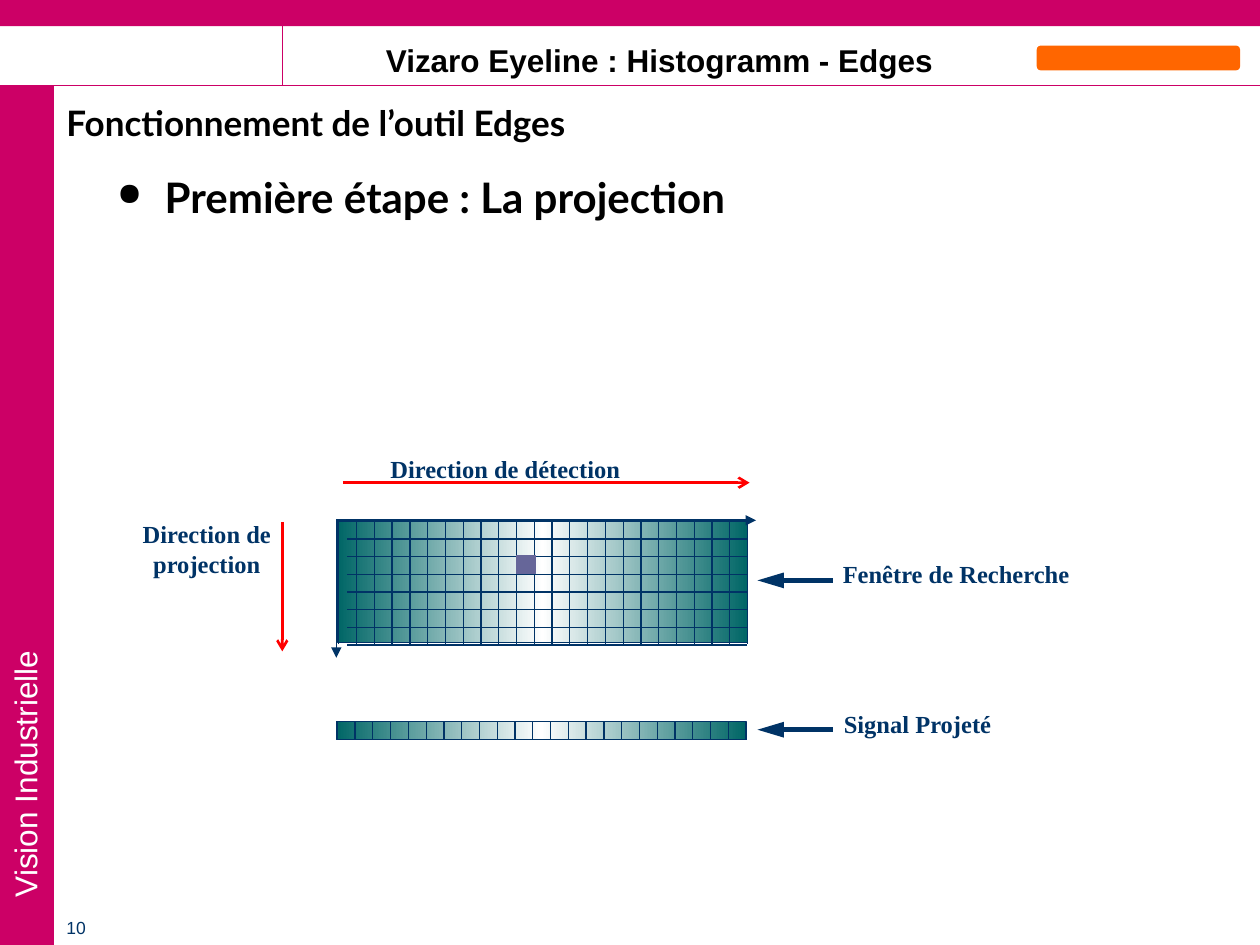
from copy import deepcopy

from lxml.etree import SubElement
from pptx import Presentation
from pptx.dml.color import RGBColor
from pptx.enum.shapes import MSO_CONNECTOR as Connector, MSO_SHAPE as Shape
from pptx.enum.text import MSO_ANCHOR as Anchor, PP_ALIGN as Align
from pptx.oxml.ns import qn
from pptx.util import Cm, Pt

COLORS = {
    "magenta": "CC0066",
    "navy": "003366",
    "teal": "006666",
    "white": "FFFFFF",
    "black": "000000",
    "red": "FF0000",
    "violet": "666699",
    "orange": "FF6600",
}
RGB = {name: RGBColor.from_string(value) for name, value in COLORS.items()}

presentation = Presentation()
presentation.slide_width, presentation.slide_height = Cm(25.4), Cm(19.05)
slide = presentation.slides.add_slide(presentation.slide_layouts[6])
shapes = slide.shapes


def add_line(start, end, color="navy", width=0.75, head=None, head_length="med"):
    """Draw a straight line between two points in cm, with an optional head at its end."""
    line = shapes.add_connector(Connector.STRAIGHT, *map(Cm, start + end))
    line.line.color.rgb = RGB[color]
    line.line.width = Pt(width)
    properties = line._element.spPr
    if head:
        SubElement(properties.find(qn("a:ln")), qn("a:tailEnd"),
                   type=head, w="med", len=head_length)
    SubElement(properties, qn("a:effectLst"))


def add_text(text, box, size, font, color, bold=True, align=Align.LEFT):
    shape = shapes.add_textbox(*map(Cm, box))
    frame = shape.text_frame
    frame.word_wrap = True
    frame.text = text
    paragraph = frame.paragraphs[0]
    paragraph.alignment = align
    run_font = paragraph.runs[0].font
    run_font.name, run_font.size, run_font.bold = font, Pt(size), bold
    run_font.color.rgb = RGB[color]
    return shape


# Page frame: side band, top band, emblem placeholder and marked cell of the grid
for kind, box, color in [
    (Shape.RECTANGLE, (0, 1.73, 1.09, 17.32), "magenta"),
    (Shape.RECTANGLE, (0, 0, 25.4, 0.53), "magenta"),
    (Shape.ROUNDED_RECTANGLE, (20.9, 0.92, 4.1, 0.5), "orange"),
]:
    block = shapes.add_shape(kind, *map(Cm, box))
    block.shadow.inherit = False
    block.fill.solid()
    block.fill.fore_color.rgb = RGB[color]
    block.line.fill.background()
add_line((0, 1.73), (25.4, 1.73), "magenta")
add_line((5.69, 1.73), (5.69, 0), "magenta")

course = add_text("Vision Industrielle", (-4.7, 12.62, 10.41, 1.02), 18, "Arial", "white", False)
course.rotation = 270
add_text("10", (1.09, 18.36, 1.3, 0.69), 10, "Arial", "navy", False)
add_text("Vizaro Eyeline : Histogramm - Edges", (5.89, 0.71, 14.81, 1.02),
         18, "Arial", "black", align=Align.CENTER)

# Title and bullet
title = add_text("Fonctionnement de l’outil Edges", (1.09, 1.93, 24, 1.19), 20, "Lato", "black")
title.text_frame.vertical_anchor = Anchor.MIDDLE
title.text_frame.paragraphs[0].line_spacing = 0.9

step = add_text("Première étape : La projection", (2.11, 3.33, 23.01, 1.3), 24, "Lato", "black")
bullet = step.text_frame.paragraphs[0]._p.get_or_add_pPr()
bullet.set("marL", str(Cm(0.96)))
bullet.set("indent", str(Cm(-0.96)))
SubElement(bullet, qn("a:buSzPct"), val="75000")
SubElement(bullet, qn("a:buChar"), char="●")

# Search window and projected signal: gradient bars cut into pixel columns
COLUMNS, ROWS = 23, 7
COLUMN_WIDTH, ROW_HEIGHT = 8.24 / COLUMNS, 2.49 / ROWS
WINDOW_TOP, SIGNAL_TOP = 10.49, 14.55
for left, top, height, line_height in [
    (6.81, WINDOW_TOP, 2.46, 2.49),
    (6.78, SIGNAL_TOP, 0.36, 0.36),
]:
    bar = shapes.add_shape(Shape.RECTANGLE, Cm(left), Cm(top), Cm(8.26), Cm(height))
    bar.shadow.inherit = False
    bar.line.color.rgb = RGB["navy"]
    bar.line.width = Pt(0.75)
    bar.fill.gradient()
    bar.fill.gradient_angle = 0
    first_stop = bar.fill.gradient_stops[0]._gs
    first_stop.addnext(deepcopy(first_stop))
    for stop, position, color in zip(bar.fill.gradient_stops, (0, 0.5, 1),
                                     ("teal", "white", "teal")):
        stop.position = position
        stop.color.rgb = RGB[color]
    for column in range(COLUMNS + 1):
        x = left + 0.02 + column * COLUMN_WIDTH
        add_line((x, top), (x, top + line_height))

for row in range(ROWS + 1):
    y = WINDOW_TOP + 0.02 + row * ROW_HEIGHT
    add_line((15.05, y), (7, y))

pixel = shapes.add_shape(Shape.RECTANGLE, Cm(10.41), Cm(11.2), Cm(0.38), Cm(0.36))
pixel.shadow.inherit = False
pixel.fill.solid()
pixel.fill.fore_color.rgb = pixel.line.color.rgb = RGB["violet"]
pixel.line.width = Pt(0.75)

# Labels
for text, box, align in [
    ("Direction de détection", (7.62, 9.02, 5.6, 0.86), Align.LEFT),
    ("Direction de projection", (2.34, 10.34, 3.66, 1.45), Align.CENTER),
    ("Signal Projeté", (16.76, 14.17, 6.86, 0.86), Align.LEFT),
    ("Fenêtre de Recherche", (16.74, 11.15, 8.03, 0.86), Align.LEFT),
]:
    add_text(text, box, 14, "Times New Roman", "navy", align=align)

# Pointers, window axes and direction arrows
for y in (11.7, 14.71):
    add_line((16.79, y), (15.27, y), width=3, head="triangle", head_length="lg")
add_line((6.78, WINDOW_TOP), (6.78, 13.26), head="triangle")
add_line((6.78, WINDOW_TOP), (15.24, WINDOW_TOP), width=1.5, head="triangle")
add_line((6.91, 9.73), (15.11, 9.73), "red", 1.5, "arrow")
add_line((5.69, 10.52), (5.69, 13.13), "red", 1.5, "arrow")

presentation.save("out.pptx")
